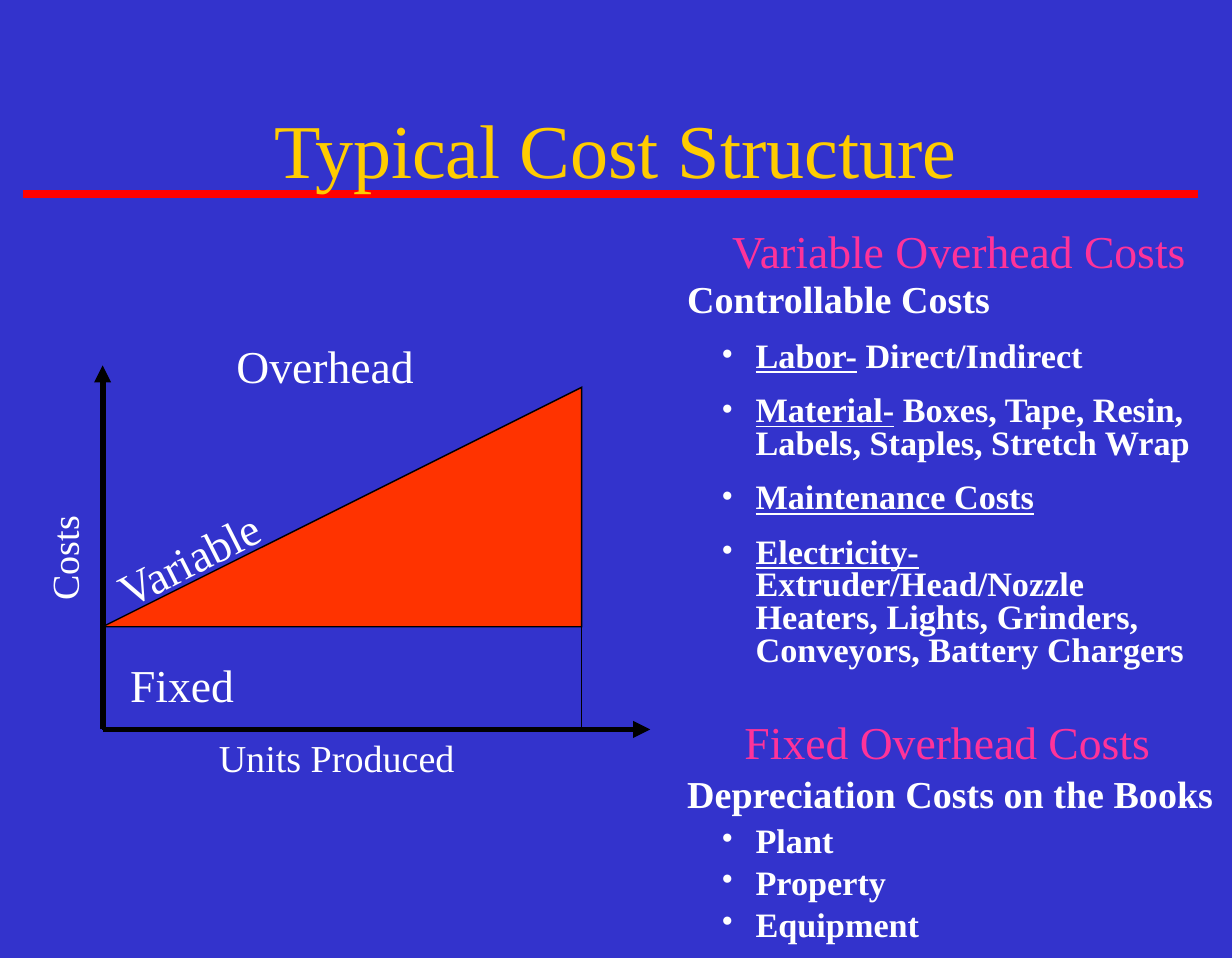
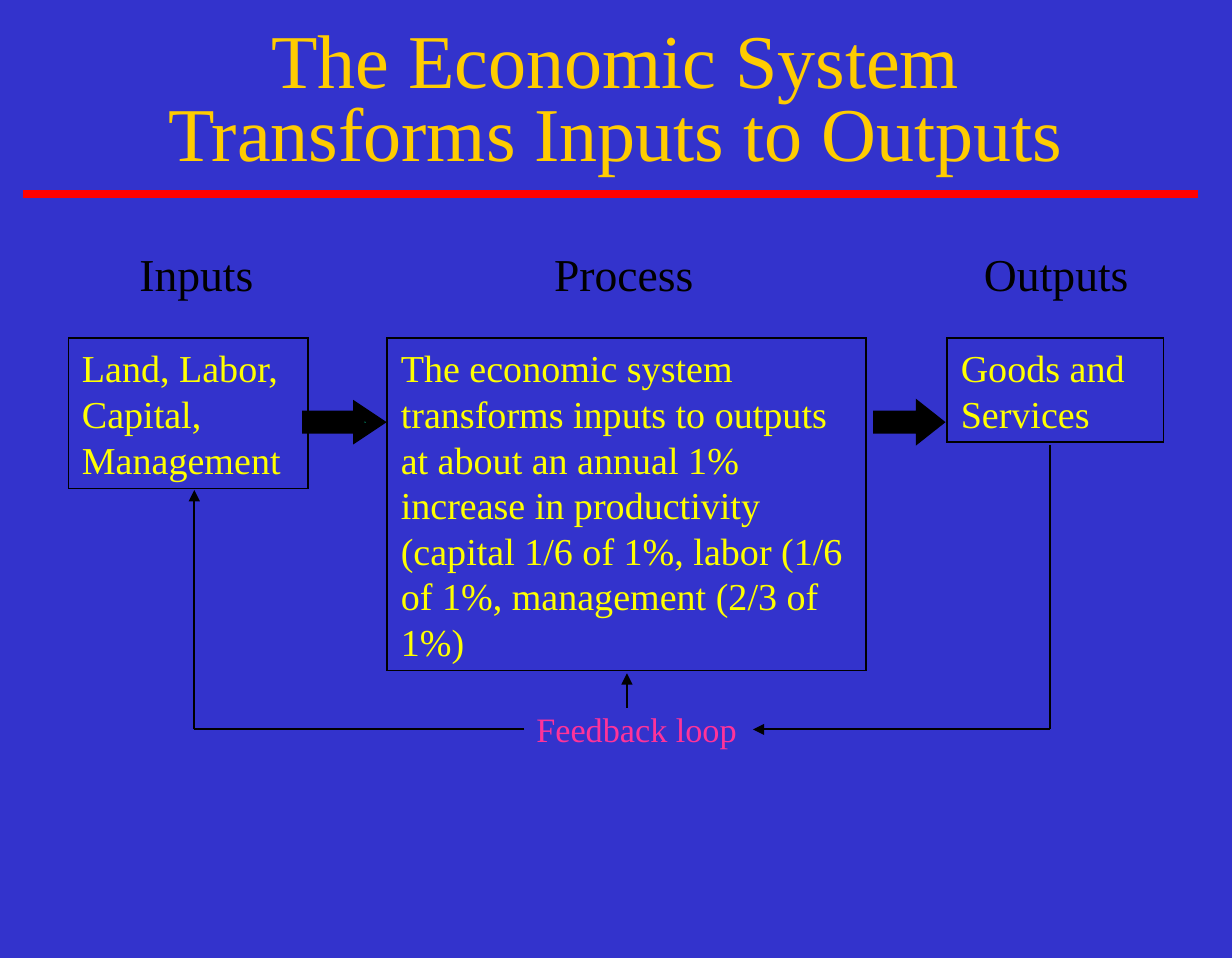
"""Build two slides on cost structure and the economic system."""
from dataclasses import dataclass

from lxml import etree as et
from pptx import Presentation
from pptx import util as u
from pptx.dml.color import RGBColor
from pptx.enum import shapes, text
from pptx.oxml.ns import qn


@dataclass(frozen=True)
class Theme:
    """Hold the colours, font and type sizes."""
    font: str = "Times New Roman"
    back: str = "3333CC"
    gold: str = "FFCC00"
    rule: str = "FF0101"
    wedge: str = "FF3300"
    pink: str = "FF3399"
    white: str = "FFFFFF"
    black: str = "000000"
    yellow: str = "FFFF00"
    green: str = "00CC99"
    title: int = 40
    head: int = 24
    body: int = 20
    small: int = 18


@dataclass(frozen=True)
class Box:
    """Describe a region in inches."""
    left: float
    top: float
    width: float
    height: float

    def inner(self, x, y, width, height):
        """Return a box offset from this one."""
        return Box(self.left + x, self.top + y, width, height)

    def point(self, x, y):
        """Return a point offset from the corner."""
        return self.left + x, self.top + y

    def size(self):
        """Return the four lengths."""
        return [u.Inches(v) for v in (self.left, self.top, self.width, self.height)]


THEME = Theme()
LEFT, MID = text.PP_ALIGN.LEFT, text.PP_ALIGN.CENTER


def paint(fill, color):
    """Fill with a solid colour."""
    fill.solid()
    fill.fore_color.rgb = RGBColor.from_string(color)


def style(run, size, color, bold=False, under=False):
    """Set the font of a run."""
    font = run.font
    font.name, font.size = THEME.font, u.Pt(size)
    font.bold, font.underline = bold, under
    font.color.rgb = RGBColor.from_string(color)


def write(frame, words, size, color, align=LEFT):
    """Put one paragraph in a frame."""
    frame.text = words
    frame.word_wrap = True
    frame.auto_size = text.MSO_AUTO_SIZE.NONE
    para = frame.paragraphs[0]
    para.alignment = align
    style(para.runs[0], size, color)
    return para


def place(shape, box):
    """Move a shape to a box."""
    shape.left, shape.top, shape.width, shape.height = box.size()


def label(slide, box, words, size, color, align=MID, turn=0):
    """Add a line of text."""
    area = slide.shapes.add_textbox(*box.size())
    write(area.text_frame, words, size, color, align)
    area.rotation = turn


def stroke(shape, width, color):
    """Set the outline and return its element."""
    shape.line.width = u.Pt(width)
    paint(shape.line.fill, color)
    return shape.element.spPr.find(qn("a:ln"))


def line(slide, start, end, width, color=THEME.black, arrow=False):
    """Draw a straight line or arrow."""
    ends = [u.Inches(v) for v in (*start, *end)]
    link = slide.shapes.add_connector(shapes.MSO_CONNECTOR.STRAIGHT, *ends)
    pen = stroke(link, width, color)
    if arrow:
        et.SubElement(pen, qn("a:tailEnd"), type="triangle")
    et.SubElement(link.element.spPr, qn("a:effectLst"))


def block(slide, kind, box, width, fill=None):
    """Add an outlined preset shape."""
    shape = slide.shapes.add_shape(kind, *box.size())
    shape.shadow.inherit = False
    if fill:
        paint(shape.fill, fill)
    else:
        shape.fill.background()
    pen = stroke(shape, width, THEME.black)
    et.SubElement(pen, qn("a:miter"), lim="800000")
    return shape


def start(deck, layout, words, box, space):
    """Add a slide with its rule and title."""
    slide = deck.slides.add_slide(deck.slide_layouts[layout])
    line(slide, (0.17, 1.42), (8.75, 1.42), 4, THEME.rule)
    title = slide.shapes.title
    place(title, box)
    title.element.getparent().append(title.element)
    para = write(title.text_frame, words, THEME.title, THEME.gold, MID)
    para.line_spacing = space
    title.text_frame.vertical_anchor = text.MSO_ANCHOR.MIDDLE
    return slide


def bullet(para, margin, hang, sign=None):
    """Set the indent and bullet of a paragraph."""
    props = para._p.get_or_add_pPr()
    props.set("marL", str(u.Inches(margin)))
    props.set("indent", str(u.Inches(-hang)))
    if sign:
        color = et.SubElement(props, qn("a:buClr"))
        et.SubElement(color, qn("a:srgbClr"), val=THEME.white)
        et.SubElement(props, qn("a:buFont"), typeface=THEME.font)
        et.SubElement(props, qn("a:buChar"), char=sign)
    else:
        et.SubElement(props, qn("a:buNone"))


def costs(holder, box, head, items, space):
    """Fill a list of underlined and plain words."""
    place(holder, box)
    frame = holder.text_frame
    para = write(frame, head, THEME.body, THEME.white)
    para.runs[0].font.bold = True
    para.space_before = u.Pt(0)
    bullet(para, 0, 0)
    for key, rest in items:
        para = frame.add_paragraph()
        para.level = 1
        bullet(para, 0.5, 0.25, "•")
        para.alignment = LEFT
        para.line_spacing = space
        para.space_before = u.Pt(11.25)
        for words, under in ((key, True), (rest, False)):
            if words:
                run = para.add_run()
                run.text = words
                style(run, THEME.small, THEME.white, True, under)


def graph(slide, box):
    """Draw fixed and variable costs against units."""
    kinds = shapes.MSO_SHAPE
    base, wide, rise, fixed = box.height, 3.5, 1.75, 0.75
    block(slide, kinds.RECTANGLE, box.inner(0, base - fixed, wide, fixed),
          0.75, THEME.back)
    wedge = block(slide, kinds.RIGHT_TRIANGLE,
                  box.inner(0, base - fixed - rise, wide, rise), 0.75, THEME.wedge)
    wedge.element.spPr.xfrm.set("flipH", "1")
    for end in ((box.width, base), (0, 0)):
        line(slide, box.point(0, base), box.point(*end), 3, arrow=True)
    for words, spot, size, turn in (
            ("Fixed", (0.08, 2.08, 1, 0.5), THEME.head, 0),
            ("Variable", (-0.08, 1.16, 1.42, 0.5), THEME.head, 333.2),
            ("Overhead", (0.75, -0.25, 1.75, 0.5), THEME.head, 0),
            ("Units Produced", (0.42, 2.65, 2.58, 0.44), THEME.body, 0),
            ("Costs", (-0.86, 1.19, 1.16, 0.44), THEME.body, 270)):
        label(slide, box.inner(*spot), words, size, THEME.white, turn=turn)


def stage(slide, box, head, spot, words):
    """Add a headed box of the flow."""
    label(slide, box.inner(spot, -0.72, 1.3, 0.5), head,
          THEME.head, THEME.black, LEFT)
    shape = block(slide, shapes.MSO_SHAPE.RECTANGLE, box, 1)
    write(shape.text_frame, words, THEME.body, THEME.yellow)
    shape.text_frame.vertical_anchor = text.MSO_ANCHOR.TOP


def flow(slide, box):
    """Lay out the stages and the arrows between them."""
    for head, spot, x, width, height, words in (
            ("Inputs", 0.42, 0, 1.75, 1.1, "Land, Labor, Capital, Management"),
            ("Process", 1.12, 2.33, 3.5, 2.43,
             "The economic system transforms inputs to outputs at about an "
             "annual 1% increase in productivity (capital 1/6 of 1%, labor "
             "(1/6 of 1%, management (2/3 of 1%)"),
            ("Outputs", 0.17, 6.42, 1.58, 0.76, "Goods and Services")):
        stage(slide, box.inner(x, 0, width, height), head, spot, words)
    for x, width, tip in ((1.75, 0.5, 0.75), (5.92, 0.42, 0.63)):
        arrow = block(slide, shapes.MSO_SHAPE.RIGHT_ARROW,
                      box.inner(x, 0.53, width, 0.17), 6, THEME.green)
        arrow.adjustments[1] = tip


def loop(slide, box):
    """Draw the feedback from outputs to inputs."""
    base, right = box.height, box.width
    for first, last, arrow in (
            ((right, 0), (right, base), False),
            ((right, base), (4.08, base), True),
            ((3.16, 1.92), (3.16, 1.67), True),
            ((2.41, base), (0, base), False),
            ((0, base), (0, 0.33), True)):
        line(slide, box.point(*first), box.point(*last), 1, arrow=arrow)
    label(slide, box.inner(2.4, base - 0.2, 1.75, 0.4), "Feedback loop",
          THEME.small, THEME.pink, LEFT)


def main():
    """Build and save the deck."""
    deck = Presentation()
    deck.slide_width, deck.slide_height = u.Inches(9), u.Inches(7)
    paint(deck.slide_master.background.fill, THEME.back)

    slide = start(deck, 3, "Typical Cost Structure", Box(0.67, 0.5, 7.65, 1.17), 1.0)
    graph(slide, Box(0.75, 2.67, 4, 2.66))
    costs(slide.placeholders[1], Box(4.92, 1.96, 4, 2.98),
          "Controllable Costs",
          (("Labor-", " Direct/Indirect"),
           ("Material-", " Boxes, Tape, Resin, Labels, Staples, Stretch Wrap"),
           ("Maintenance Costs", ""),
           ("Electricity-", " Extruder/Head/Nozzle Heaters, Lights, Grinders, "
                            "Conveyors, Battery Chargers")), 0.8)
    costs(slide.placeholders[2], Box(4.92, 5.58, 4.08, 1.36),
          "Depreciation Costs on the Books",
          (("", "Plant"), ("", "Property"), ("", "Equipment")), 0.5)
    for words, top, width in (("Variable Overhead Costs", 1.58, 3.67),
                              ("Fixed Overhead Costs", 5.17, 3.5)):
        label(slide, Box(5.17, top, width, 0.5), words, THEME.head, THEME.pink)

    slide = start(deck, 5, "The Economic System Transforms Inputs to Outputs",
                  Box(0.67, 0.17, 7.65, 1.17), 0.8)
    flow(slide, Box(0.5, 2.47, 8, 2.43))
    loop(slide, Box(1.42, 3.25, 6.25, 2.08))
    deck.save("out.pptx")


if __name__ == "__main__":
    main()
